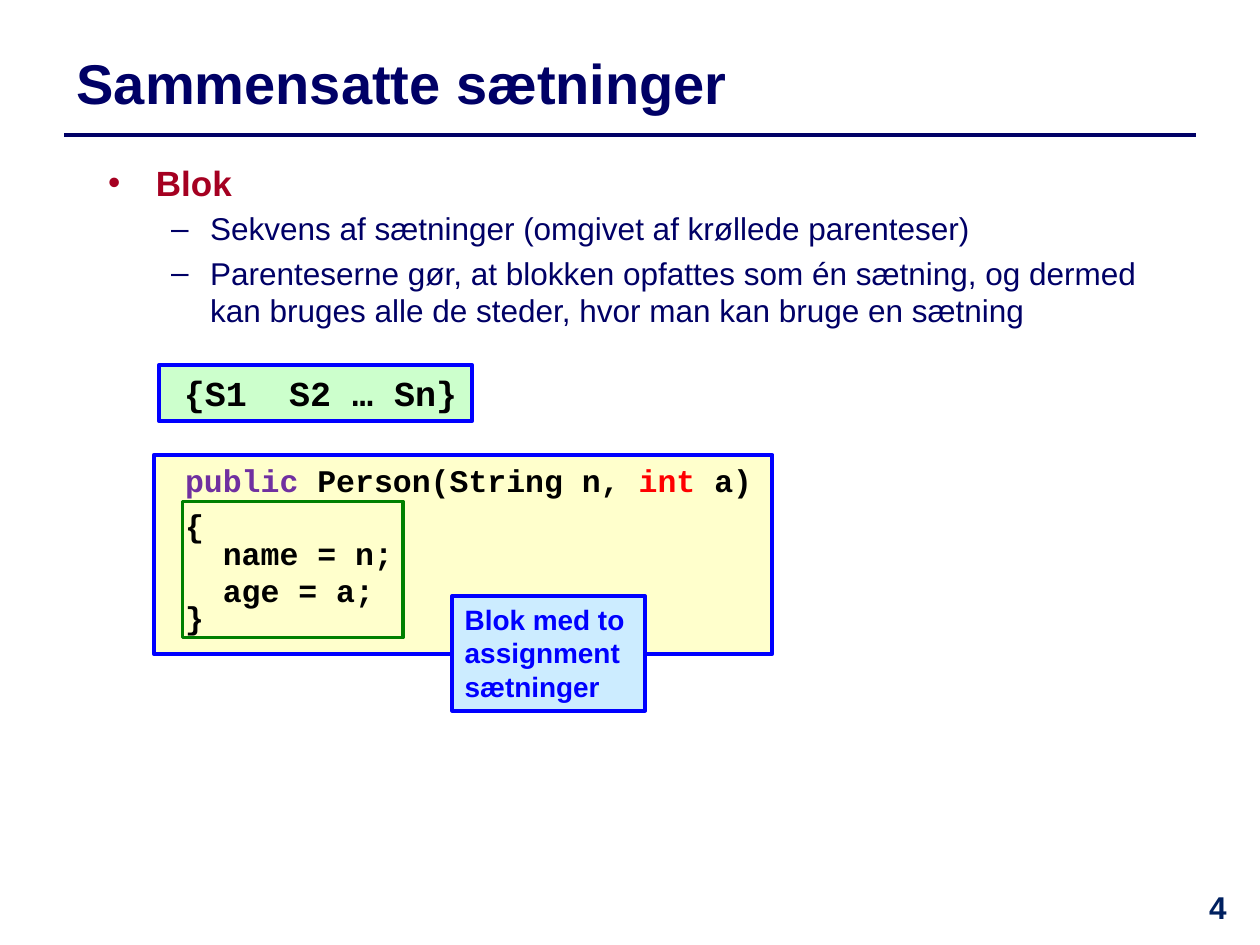
from lxml.etree import SubElement
from pptx import Presentation
from pptx.dml.color import RGBColor
from pptx.enum.shapes import MSO_CONNECTOR, MSO_SHAPE
from pptx.enum.text import MSO_ANCHOR, PP_ALIGN
from pptx.oxml.ns import qn
from pptx.util import Pt

TITLE = "Sammensatte sætninger"
BULLETS = [
    ("•", "Blok"),
    ("–", "Sekvens af sætninger (omgivet af krøllede parenteser)"),
    ("–", "Parenteserne gør, at blokken opfattes som én sætning, og dermed "
          "kan bruges alle de steder, hvor man kan bruge en sætning"),
]
SYNTAX = "{S1  S2 … Sn}"
CODE = [
    (1, [(" public", "keyword"), (" Person(String n, ", "code"), ("int ", "type"), ("a)", "code")]),
    (1.2, [(" {", "code")]),
    (0.7, [("   name = n;", "code")]),
    (1, [("   age = a;", "code")]),
    (0.7, [(" }", "code")]),
]
CALLOUT = "Blok med to assignment sætninger"
PAGE_NUMBER = "4"

THEME = {
    "sans": "Arial", "mono": "Courier New",
    "color": {
        "navy": "000066", "heading": "A50021", "number": "002060", "code": "000000",
        "keyword": "7030A0", "type": "FF0000", "border": "0000FF", "block": "008000",
        "syntax_fill": "CCFFCC", "code_fill": "FFFFCC", "callout_fill": "CCECFF",
    },
    "size": {"title": 32, "heading": 20, "body": 18, "callout": 16},
}
BULLET_STYLES = {
    "•": {"level": 0, "margin": 27.36, "hanging": 27.36, "before": 0,
          "size": "heading", "color": "heading", "bold": True},
    "–": {"level": 1, "margin": 58.32, "hanging": 22.32, "before": 3.6,
          "size": "body", "color": "navy", "bold": False},
}
RULE_LEFT, RULE_RIGHT, RULE_TOP = 36.72, 683.28, 77.04


def color(name):
    return RGBColor.from_string(THEME["color"][name])


def style(font, size, color_name, bold=True, face="sans"):
    font.name = THEME[face]
    font.size = Pt(THEME["size"][size])
    font.bold = bold
    font.color.rgb = color(color_name)


def add_text(slide, box, text="", anchor=MSO_ANCHOR.TOP):
    frame = slide.shapes.add_textbox(*map(Pt, box)).text_frame
    frame.word_wrap = True
    frame.vertical_anchor = anchor
    frame.text = text
    return frame


def add_box(slide, box, border, width, fill=None):
    panel = slide.shapes.add_shape(MSO_SHAPE.RECTANGLE, *map(Pt, box))
    panel.shadow.inherit = False
    panel.line.color.rgb = color(border)
    panel.line.width = Pt(width)
    if fill:
        panel.fill.solid()
        panel.fill.fore_color.rgb = color(fill)
    else:
        panel.fill.background()
    frame = panel.text_frame
    frame.word_wrap = True
    frame.vertical_anchor = MSO_ANCHOR.TOP
    frame.paragraphs[0].alignment = PP_ALIGN.LEFT
    return frame


def add_bullets(frame):
    for index, (mark, text) in enumerate(BULLETS):
        look = BULLET_STYLES[mark]
        paragraph = frame.add_paragraph() if index else frame.paragraphs[0]
        paragraph.text = text
        paragraph.level = look["level"]
        paragraph.space_before = Pt(look["before"])
        properties = paragraph._p.get_or_add_pPr()
        properties.set("marL", str(Pt(look["margin"])))
        properties.set("indent", str(-Pt(look["hanging"])))
        SubElement(properties, qn("a:buFont")).set("typeface", THEME["sans"])
        SubElement(properties, qn("a:buChar")).set("char", mark)
        style(paragraph.runs[0].font, look["size"], look["color"], look["bold"])


def add_code(frame):
    for index, (spacing, parts) in enumerate(CODE):
        paragraph = frame.add_paragraph() if index else frame.paragraphs[0]
        paragraph.alignment = PP_ALIGN.LEFT
        paragraph.line_spacing = float(spacing)
        for text, role in parts:
            run = paragraph.add_run()
            run.text = text
            style(run.font, "body", role, face="mono")


def main():
    deck = Presentation()
    deck.slide_width, deck.slide_height = Pt(720), Pt(540)
    slide = deck.slides.add_slide(deck.slide_layouts[6])

    rule = slide.shapes.add_connector(
        MSO_CONNECTOR.STRAIGHT, Pt(RULE_LEFT), Pt(RULE_TOP), Pt(RULE_RIGHT), Pt(RULE_TOP))
    rule.line.color.rgb = color("navy")
    rule.line.width = Pt(2)
    SubElement(rule._element.spPr, qn("a:effectLst"))

    title = add_text(slide, (RULE_LEFT, 20.16, RULE_RIGHT - RULE_LEFT, 54), TITLE, MSO_ANCHOR.MIDDLE)
    style(title.paragraphs[0].runs[0].font, "title", "navy")

    syntax = add_box(slide, (90.72, 208.8, 179.28, 31.68), "border", 2.25, "syntax_fill")
    syntax.word_wrap = False
    syntax.margin_left = Pt(14.4)
    syntax.text = SYNTAX
    style(syntax.paragraphs[0].runs[0].font, "heading", "code", face="mono")

    add_bullets(add_text(slide, (54.72, 88.56, RULE_RIGHT - 54.72, 108)))

    number = add_text(slide, (671.76, 504, 48.24, 36), PAGE_NUMBER)
    number.paragraphs[0].alignment = PP_ALIGN.CENTER
    style(number.paragraphs[0].runs[0].font, "body", "number")

    add_code(add_box(slide, (87.84, 259.92, 353.52, 113.76), "border", 2.25, "code_fill"))
    add_box(slide, (104.4, 286.56, 126, 77.76), "block", 2)

    callout = add_box(slide, (258.48, 340.56, 110.16, 65.52), "border", 2.25, "callout_fill")
    callout.text = CALLOUT
    style(callout.paragraphs[0].runs[0].font, "callout", "border")

    deck.save("out.pptx")


if __name__ == "__main__":
    main()
